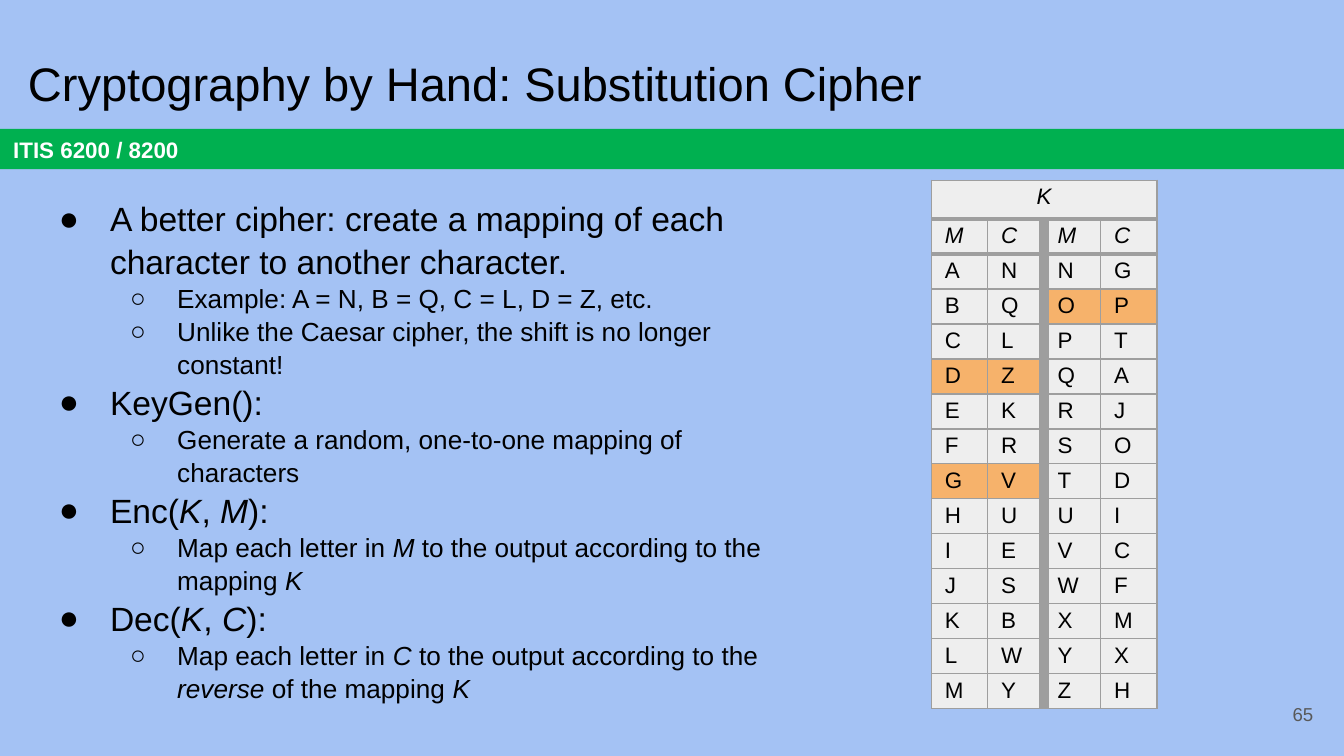
from lxml.etree import SubElement
from pptx import Presentation
from pptx.dml.color import RGBColor
from pptx.enum.shapes import MSO_SHAPE
from pptx.enum.text import MSO_ANCHOR, PP_ALIGN
from pptx.oxml.ns import qn
from pptx.util import Inches, Pt

FONT = "Arial"
BLACK = "000000"
BORDER = "9E9E9E"
CELL_FILL = "EEEEEE"
HIGHLIGHT = "F6B26B"
THIN, MEDIUM, THICK = 0.75, 2.25, 6

# (level, text); asterisks enclose italics
POINTS = [
    (0, "A better cipher: create a mapping of each character to another character."),
    (1, "Example: A = N, B = Q, C = L, D = Z, etc."),
    (1, "Unlike the Caesar cipher, the shift is no longer constant!"),
    (0, "KeyGen():"),
    (1, "Generate a random, one-to-one mapping of characters"),
    (0, "Enc(*K*, *M*):"),
    (1, "Map each letter in *M* to the output according to the mapping *K*"),
    (0, "Dec(*K*, *C*):"),
    (1, "Map each letter in *C* to the output according to the *reverse* of the mapping *K*"),
]
# bullet, left margin, hanging indent, text size
LEVELS = [("●", 0.5, -0.38, 18), ("○", 1, -0.35, 14)]

PLAIN = "ABCDEFGHIJKLMNOPQRSTUVWXYZ"
CIPHER = "NQLZKRVUESBWYGPTAJODICFMXH"
HIGHLIGHTED = "DGO"
# minimum heights; rows grow to fit their letters
ROW_HEIGHTS = [0.29, 0.21, 0.19, 0.16, 0.11, 0.19, 0.13, 0.19,
               0.11, 0.11, 0.11, 0.11, 0.12, 0.11, 0.11]


def color(hex_code):
    return RGBColor.from_string(hex_code)


def style_font(paragraph, size, hex_code=BLACK):
    font = paragraph.font
    font.name = FONT
    font.size = Pt(size)
    font.color.rgb = color(hex_code)
    return font


def set_frame(frame, anchor):
    frame.word_wrap = True
    frame.vertical_anchor = anchor
    frame.margin_left = frame.margin_right = Inches(0.1)
    frame.margin_top = frame.margin_bottom = Inches(0.1)


def add_text(slide, box, anchor, text="", size=12, hex_code=BLACK):
    frame = slide.shapes.add_textbox(*map(Inches, box)).text_frame
    set_frame(frame, anchor)
    if text:
        frame.text = text
        style_font(frame.paragraphs[0], size, hex_code)
    return frame


def add_course_band(slide):
    band = slide.shapes.add_shape(
        MSO_SHAPE.RECTANGLE, Inches(0), Inches(0.96), Inches(10), Inches(0.3))
    band.shadow.inherit = False
    band.fill.solid()
    band.fill.fore_color.rgb = color("00B050")
    band.line.fill.background()
    set_frame(band.text_frame, MSO_ANCHOR.MIDDLE)
    label = band.text_frame.paragraphs[0]
    label.text = "ITIS 6200 / 8200"
    label.alignment = PP_ALIGN.LEFT
    style_font(label, 12, "FFFFFF").bold = True


def add_bullet(paragraph, level):
    bullet, margin, indent, size = LEVELS[level]
    paragraph.level = level
    properties = paragraph._p.get_or_add_pPr()
    properties.set("marL", str(Inches(margin)))
    properties.set("indent", str(Inches(indent)))
    bullet_color = SubElement(properties, qn("a:buClr"))
    SubElement(bullet_color, qn("a:srgbClr"), val=BLACK)
    SubElement(properties, qn("a:buFont"), typeface=FONT)
    SubElement(properties, qn("a:buChar"), char=bullet)
    paragraph.line_spacing = 1.05
    style_font(paragraph, size)


def add_points(slide):
    frame = add_text(slide, (0.22, 1.36, 5.62, 4.12), MSO_ANCHOR.TOP)
    for number, (level, text) in enumerate(POINTS):
        point = frame.add_paragraph() if number else frame.paragraphs[0]
        add_bullet(point, level)
        for part, words in enumerate(text.split("*")):
            if words:
                run = point.add_run()
                run.text = words
                if part % 2:
                    run.font.italic = True


def set_borders(cell, left, right, top, bottom):
    properties = cell._tc.get_or_add_tcPr()
    sides = {"a:lnL": left, "a:lnR": right, "a:lnT": top, "a:lnB": bottom}
    for side, width in sides.items():
        line = SubElement(properties, qn(side), w=str(Pt(width)))
        fill = SubElement(line, qn("a:solidFill"))
        SubElement(fill, qn("a:srgbClr"), val=BORDER)


def fill_cell(cell, row, column, text):
    set_borders(
        cell,
        left=THICK if row and column == 2 else THIN,
        right=THICK if row and column == 1 else THIN,
        top=MEDIUM if row in (1, 2) else THIN,
        bottom=MEDIUM if row in (0, 1) else THIN)
    cell.margin_left = cell.margin_right = Inches(0.1)
    cell.margin_top = cell.margin_bottom = Inches(0.03)
    letter = cell.text_frame.paragraphs[0]
    letter.text = text
    style_font(letter, 12).italic = row < 2
    if row == 0:
        letter.alignment = PP_ALIGN.CENTER


def add_key_table(slide):
    half = len(PLAIN) // 2
    pairs = list(zip(PLAIN, CIPHER))
    rows = [("K", "", "", ""), ("M", "C", "M", "C")]
    rows += [left + right for left, right in zip(pairs[:half], pairs[half:])]

    key_frame = slide.shapes.add_table(
        len(rows), 4, Inches(6.93), Inches(1.34), Inches(1.67), Inches(3.93))
    table = key_frame.table
    table.first_row = table.horz_banding = False
    for column in table.columns:
        column.width = Inches(0.42)
    for row, letters in enumerate(rows):
        table.rows[row].height = Inches(ROW_HEIGHTS[row])
        for column, text in enumerate(letters):
            cell = table.cell(row, column)
            fill_cell(cell, row, column, text)
            plain_letter = letters[column // 2 * 2]
            marked = row > 1 and plain_letter in HIGHLIGHTED
            cell.fill.solid()
            cell.fill.fore_color.rgb = color(HIGHLIGHT if marked else CELL_FILL)
    table.cell(0, 0).merge(table.cell(0, 3))
    key_frame.height = Inches(3.93)


def main():
    deck = Presentation()
    deck.slide_width = Inches(10)
    deck.slide_height = deck.slide_width * 9 // 16
    slide = deck.slides.add_slide(deck.slide_layouts[6])
    slide.background.fill.solid()
    slide.background.fill.fore_color.rgb = color("A4C2F4")

    add_course_band(slide)
    add_text(slide, (0.11, 0.3, 9.32, 0.63), MSO_ANCHOR.MIDDLE,
             "Cryptography by Hand: Substitution Cipher", 25.2)
    add_points(slide)
    page_number = add_text(slide, (9.27, 5.1, 0.6, 0.43), MSO_ANCHOR.MIDDLE,
                           "65", 10, "595959")
    page_number.paragraphs[0].alignment = PP_ALIGN.RIGHT
    add_key_table(slide)
    deck.save("out.pptx")


if __name__ == "__main__":
    main()
